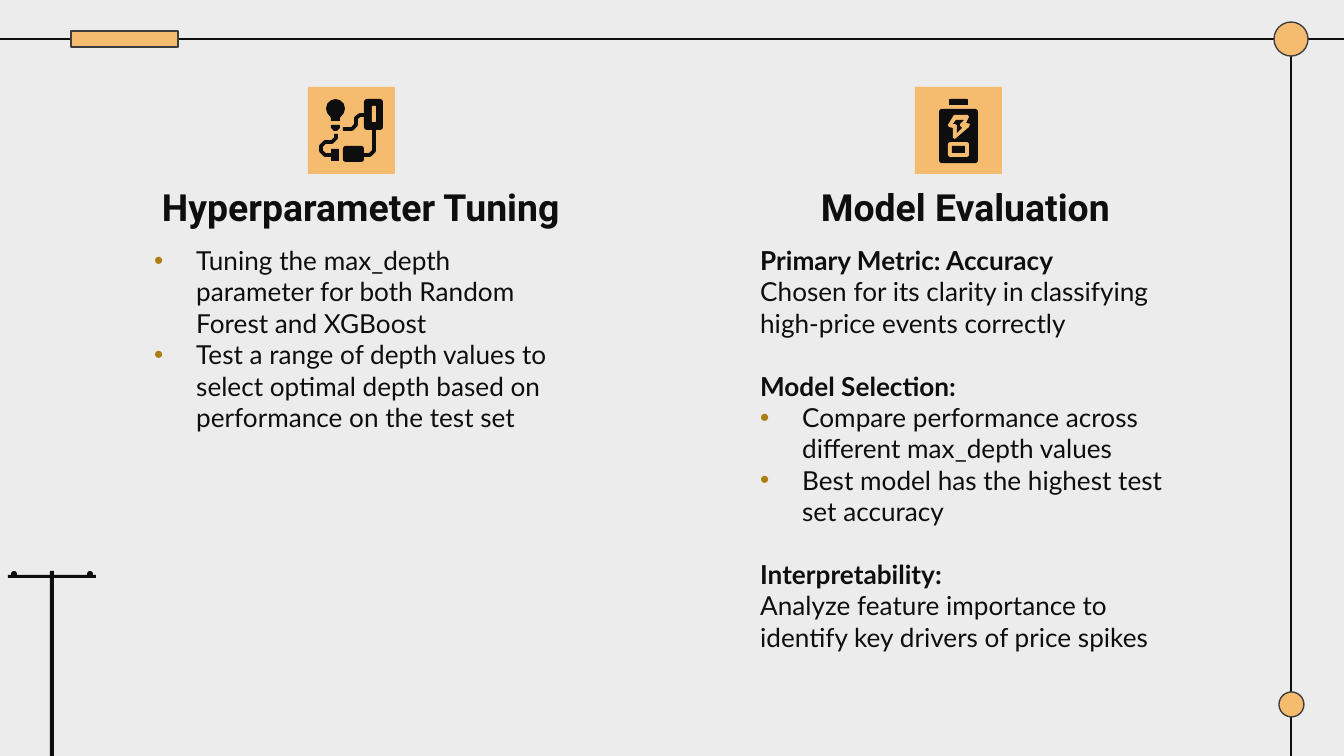
import pptx
import pptx.dml.color
import pptx.enum.shapes
import pptx.enum.text
import pptx.oxml
import pptx.oxml.ns
import pptx.util

SCALE = pptx.util.Inches(10) / 1344  # EMU per px
INK, AMBER, OUTLINE = "0E0E0E", "F5BC6F", "3D3D3D"
BACKGROUND, BULLET = "ECECEC", "AC7D0F"
color = pptx.dml.color.RGBColor.from_string
KIND = pptx.enum.shapes.MSO_SHAPE
ALIGN = pptx.enum.text.PP_ALIGN
ANCHOR = pptx.enum.text.MSO_ANCHOR

presentation = pptx.Presentation()
presentation.slide_width = round(1344 * SCALE)
presentation.slide_height = round(756 * SCALE)
slide = presentation.slides.add_slide(presentation.slide_layouts[6])
slide.background.fill.solid()
slide.background.fill.fore_color.rgb = color(BACKGROUND)


def add_block(kind, box, fill, line=None):
    shape = slide.shapes.add_shape(kind, *[round(value * SCALE) for value in box])
    shape.shadow.inherit = False
    shape.fill.solid()
    shape.fill.fore_color.rgb = color(fill)
    if line:
        shape.line.color.rgb = color(line)
        shape.line.width = pptx.util.Pt(0.75)
    else:
        shape.line.fill.background()


def add_outline(points, fill=None):
    """Filled polygon, or an open wire when no fill is given."""
    builder = slide.shapes.build_freeform(*points[0], scale=SCALE)
    builder.add_line_segments(points[1:], close=fill is not None)
    shape = builder.convert_to_shape()
    shape.shadow.inherit = False
    if fill:
        shape.fill.solid()
        shape.fill.fore_color.rgb = color(fill)
        shape.line.fill.background()
    else:
        shape.fill.background()
        shape.line.color.rgb = color(INK)
        shape.line.width = pptx.util.Pt(2)


# Frame lines with their handles
for ends in [(0, 39, 1344, 39), (1291, 39, 1291, 756)]:
    connector = slide.shapes.add_connector(
        pptx.enum.shapes.MSO_CONNECTOR.STRAIGHT, *[round(value * SCALE) for value in ends])
    connector.line.color.rgb = color(INK)
    connector.line.width = pptx.util.Pt(0.75)
    connector._element.spPr.append(pptx.oxml.parse_xml(
        f"<a:effectLst {pptx.oxml.ns.nsdecls('a')}/>"))
add_block(KIND.RECTANGLE, (71, 31, 107, 16), AMBER, OUTLINE)
add_block(KIND.OVAL, (1274, 22, 34, 34), AMBER, OUTLINE)
add_block(KIND.OVAL, (1279, 692, 25, 25), AMBER, OUTLINE)

# Utility pole
add_block(KIND.RECTANGLE, (8, 575, 88, 3), INK)
add_block(KIND.RECTANGLE, (50, 571, 4, 185), INK)
for left in (11, 87):
    add_block(KIND.OVAL, (left, 571, 6, 6), INK)

# Column texts: (wording, style)
columns = [
    ((125, 175, 472, 67), "Hyperparameter Tuning", (141, 231, 434, 325), [
        ("Tuning the max_depth parameter for both Random Forest and XGBoost", "bullet"),
        ("Test a range of depth values to select optimal depth based on "
         "performance on the test set", "bullet"),
    ]),
    ((785, 175, 361, 67), "Model Evaluation", (747, 231, 456, 457), [
        ("Primary Metric: Accuracy", "lead"),
        ("Chosen for its clarity in classifying high-price events correctly", "plain"),
        ("Model Selection:", "lead"),
        ("Compare performance across different max_depth values", "bullet"),
        ("Best model has the highest test set accuracy", "bullet"),
        ("Interpretability:", "lead"),
        ("Analyze feature importance to identify key drivers of price spikes", "plain"),
    ]),
]
for heading_box, heading, body_box, body in columns:
    parts = [
        (heading_box, [(heading, "heading")], ANCHOR.BOTTOM),
        (body_box, body, ANCHOR.TOP),
    ]
    for box, lines, anchor in parts:
        text_frame = slide.shapes.add_textbox(
            *[round(value * SCALE) for value in box]).text_frame
        text_frame.word_wrap = True
        text_frame.vertical_anchor = anchor
        text_frame.margin_left = text_frame.margin_right = pptx.util.Inches(0.1)
        text_frame.margin_top = text_frame.margin_bottom = pptx.util.Inches(0.1)
        text_frame.text = "\n".join(wording for wording, style in lines)
        for index, (paragraph, (wording, style)) in enumerate(
                zip(text_frame.paragraphs, lines)):
            is_heading = style == "heading"
            paragraph.alignment = ALIGN.CENTER if is_heading else ALIGN.LEFT
            font = paragraph.runs[0].font
            font.name = "Roboto" if is_heading else "Lato"
            font.size = pptx.util.Pt(20 if is_heading else 14)
            font.bold = style in ("heading", "lead")
            font.color.rgb = color(INK)
            if style == "lead" and index:
                paragraph.space_before = pptx.util.Pt(16.8)
            if style == "bullet":
                properties = paragraph._p.get_or_add_pPr()
                indent = round(42 * SCALE)
                properties.set("marL", str(indent))
                properties.set("indent", str(-indent))
                namespace = pptx.oxml.ns.nsdecls("a")
                for xml in (
                    f'<a:buClr {namespace}><a:srgbClr val="{BULLET}"/></a:buClr>',
                    f'<a:buFont {namespace} typeface="Arial"/>',
                    f'<a:buChar {namespace} char="•"/>',
                ):
                    properties.append(pptx.oxml.parse_xml(xml))

# Icon tiles
for left in (308, 915):
    add_block(KIND.RECTANGLE, (left, 87, 87, 87), AMBER)

# Tuning icon: bulb, switch, box and plug joined by wires
add_block(KIND.OVAL, (326, 99, 19, 19), INK)
add_outline([(328, 114), (343, 114), (340, 118), (340, 121), (331, 121), (331, 118)], INK)
add_outline([(331, 125), (340, 125), (340, 128), (337, 131), (334, 131), (331, 128)], INK)
add_block(KIND.ROUNDED_RECTANGLE, (364, 99, 19, 31), INK)
add_block(KIND.ROUNDED_RECTANGLE, (372, 106, 4, 16), AMBER)
add_block(KIND.ROUNDED_RECTANGLE, (343, 146, 21, 16), INK)
add_block(KIND.RECTANGLE, (331, 149, 8, 12), INK)
add_outline([(343, 129), (352, 129), (356, 125), (356, 118), (360, 115), (365, 115)])
add_outline([(374, 130), (374, 151), (370, 155), (364, 155)])
add_outline([(336, 134), (336, 138), (332, 142), (325, 142), (321, 146),
             (321, 151), (325, 155), (332, 155)])

# Evaluation icon: battery with bolt and charge window
add_block(KIND.ROUND_2_SAME_RECTANGLE, (949, 99, 19, 6), INK)
add_outline([(941, 109), (976, 109), (978, 111), (978, 161), (976, 163),
             (941, 163), (939, 161), (939, 111)], INK)
add_outline([(954, 115), (968, 115), (969, 117), (966, 123), (970, 124), (969, 127),
             (955, 139), (953, 138), (953, 128), (949, 127), (948, 125)], AMBER)
add_outline([(953, 124), (955, 124), (957, 125), (957, 133), (962, 128),
             (960, 126), (960, 124), (964, 120), (956, 120)], INK)
add_block(KIND.ROUNDED_RECTANGLE, (948, 142, 21, 15), AMBER)
add_block(KIND.RECTANGLE, (952, 146, 13, 7), INK)

presentation.save("out.pptx")
